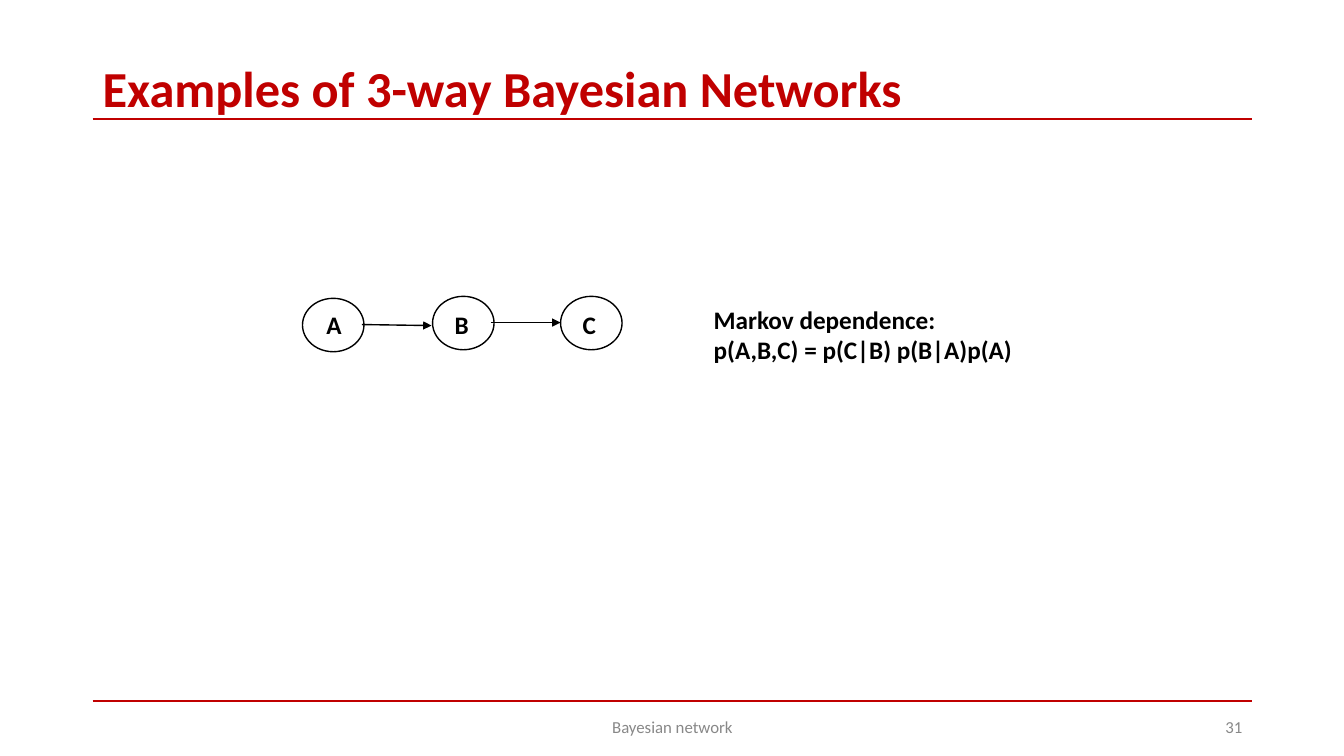
import pptx
import pptx.util
import pptx.dml.color
import pptx.enum.shapes
import pptx.enum.text
import pptx.oxml
import pptx.oxml.ns
from pptx.util import Inches

COLORS = {"red": "C00000", "gray": "888888", "black": "000000"}
ALIGN = pptx.enum.text.PP_ALIGN
ANCHOR = pptx.enum.text.MSO_ANCHOR


def color(name):
    return pptx.dml.color.RGBColor.from_string(COLORS[name])


def add_text(slide, box, lines, size, ink="black", bold=False,
             align=ALIGN.LEFT, anchor=ANCHOR.TOP, wrap=True, space=1.0):
    frame = slide.shapes.add_textbox(*map(Inches, box)).text_frame
    frame.word_wrap = wrap
    frame.vertical_anchor = anchor
    style = {"name": "Calibri", "size": pptx.util.Pt(size), "bold": bold}
    for i, line in enumerate(lines):
        para = frame.paragraphs[0] if i == 0 else frame.add_paragraph()
        para.alignment = align
        para.line_spacing = space
        run = para.add_run()
        run.text = line
        for key, value in style.items():
            setattr(run.font, key, value)
        run.font.color.rgb = color(ink)


def add_line(slide, start, end, ink, width, arrow=False):
    line = slide.shapes.add_connector(
        pptx.enum.shapes.MSO_CONNECTOR.STRAIGHT,
        *map(Inches, start + end))
    line.line.color.rgb = color(ink)
    line.line.width = pptx.util.Pt(width)
    props = line._element.spPr
    if arrow:
        stroke = line.line._get_or_add_ln()
        tail = pptx.oxml.ns.qn("a:tailEnd")
        stroke.append(stroke.makeelement(tail, {"type": "triangle"}))
    props.append(props.makeelement(pptx.oxml.ns.qn("a:effectLst"), {}))


def add_node(slide, name, left, top, inset):
    # Letter first, then the open ellipse around it
    add_text(slide, (left + inset, 3.02, 0.34, 0.4), [name], 18,
             bold=True, wrap=False)
    oval = slide.shapes.add_shape(
        pptx.enum.shapes.MSO_SHAPE.OVAL,
        *map(Inches, (left, top, 0.61, 0.53)))
    oval.shadow.inherit = False
    oval.fill.background()
    oval.line.color.rgb = color("black")
    oval.line.width = pptx.util.Pt(1)


def main():
    deck = pptx.Presentation()
    deck.slide_width = Inches(13.33)
    deck.slide_height = Inches(7.5)
    slide = deck.slides.add_slide(deck.slide_layouts[6])

    # Rules above and below the content
    for y in (1.18, 6.95):
        add_line(slide, (0.92, y), (12.42, y), "red", 1.5)

    # Title and footer
    add_text(slide, (0.92, 0.61, 11.5, 0.58),
             ["Examples of 3-way Bayesian Networks"], 36, "red", True,
             anchor=ANCHOR.MIDDLE, space=0.9)
    for box, words, align in (
            ((4.42, 7.01, 4.5, 0.4), "Bayesian network", ALIGN.CENTER),
            ((9.42, 7.01, 3, 0.4), "31", ALIGN.RIGHT)):
        add_text(slide, box, [words], 12, "gray", align=align,
                 anchor=ANCHOR.MIDDLE)

    # Chain A, B, C
    for name, left, top, inset in (("A", 3, 2.96, 0.14),
                                   ("B", 4.29, 2.94, 0.12),
                                   ("C", 5.56, 2.94, 0.12)):
        add_node(slide, name, left, top, inset)
    for start, end in (((3.59, 3.22), (4.28, 3.23)),
                       ((4.87, 3.2), (5.56, 3.2))):
        add_line(slide, start, end, "black", 1, arrow=True)

    # Factorisation
    add_text(slide, (6.98, 2.97, 3.19, 0.7),
             ["Markov dependence:", "p(A,B,C) = p(C|B) p(B|A)p(A)"],
             18, bold=True, wrap=False)

    deck.save("out.pptx")


if __name__ == "__main__":
    main()
